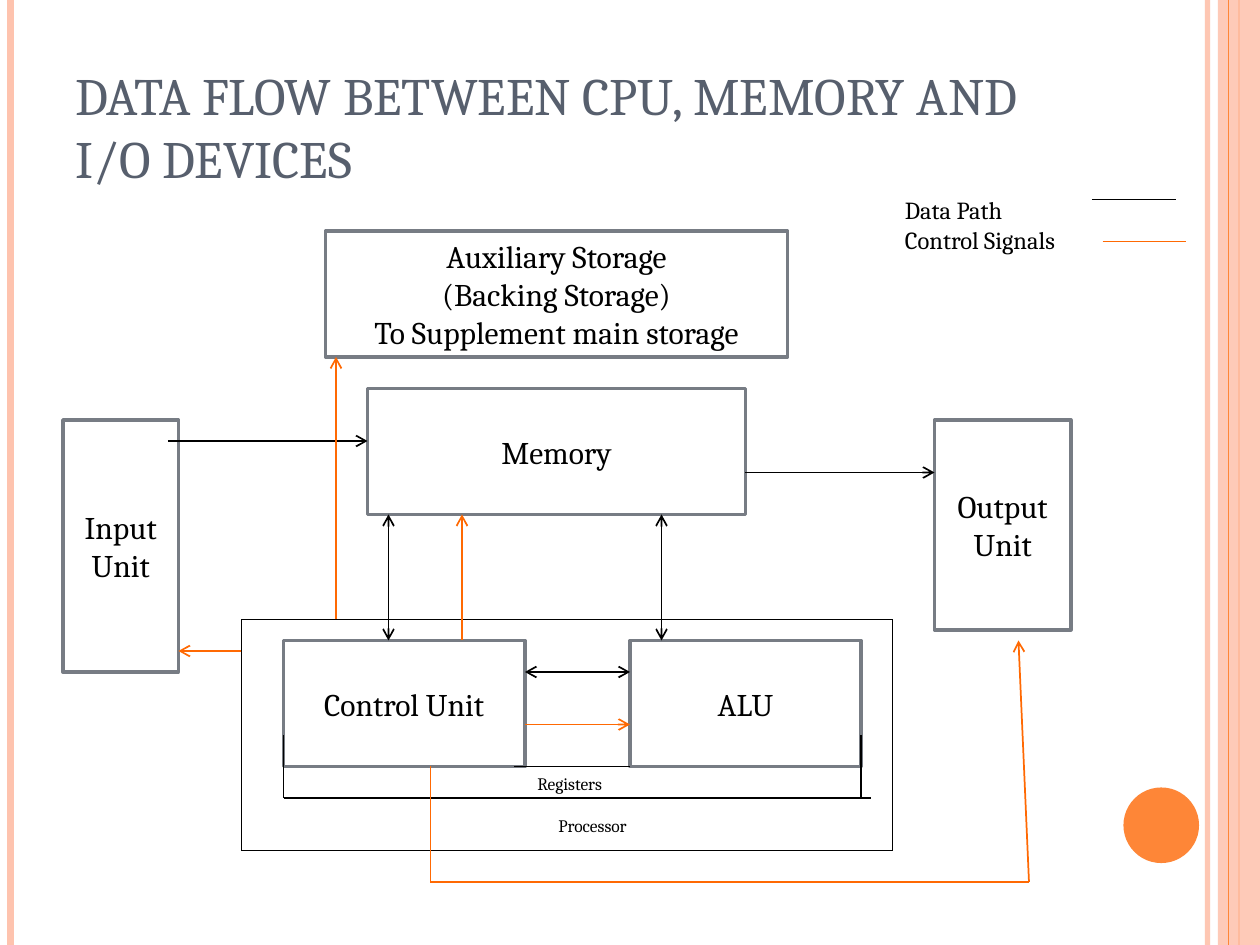
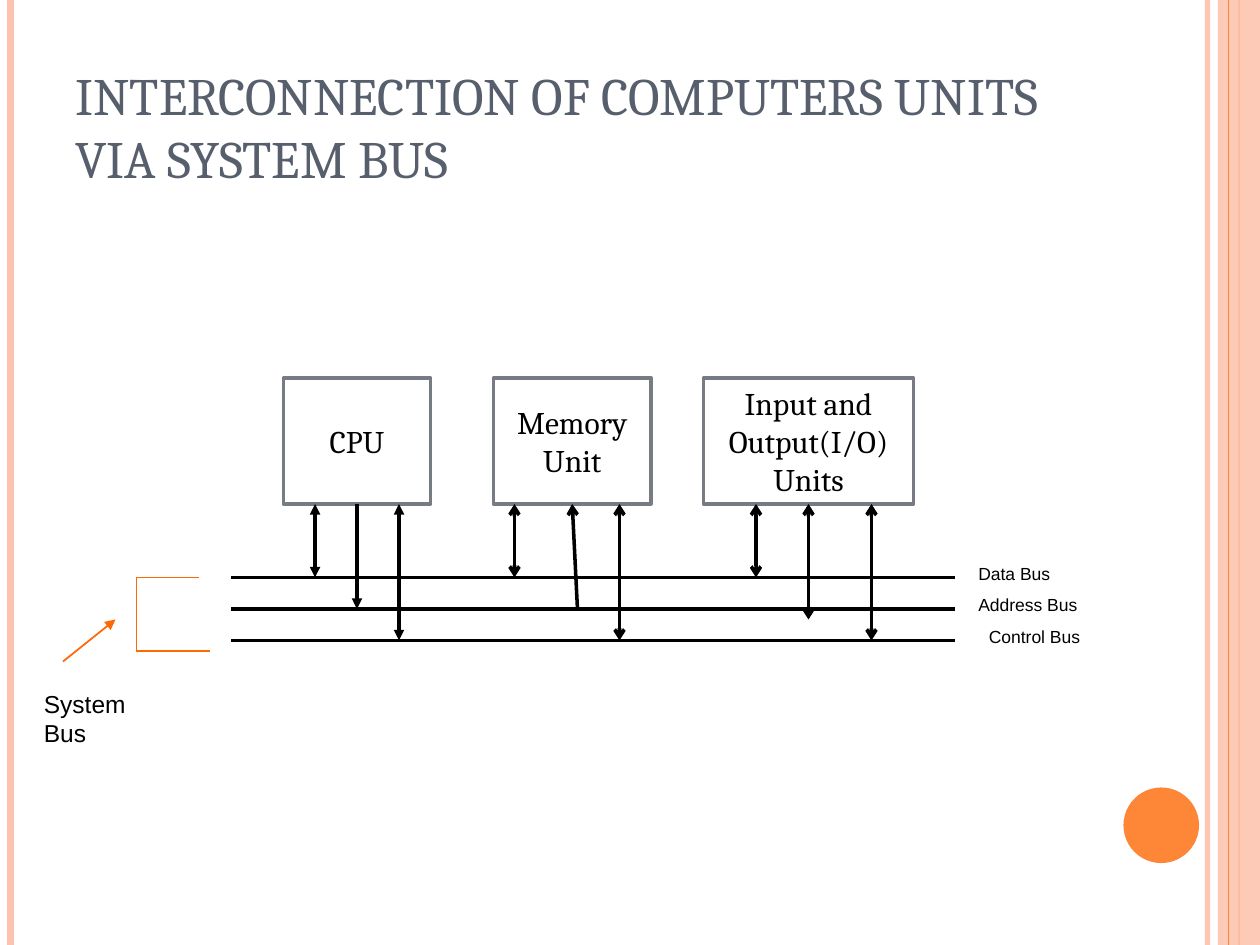
from dataclasses import dataclass
from typing import Any

from lxml import etree
from pptx import Presentation
from pptx import util as u
from pptx.dml.color import RGBColor
from pptx.enum import shapes, text
from pptx.oxml.ns import qn

# Every part sits on a grid of twelve steps to the inch
GRID_CM = 2.54 / 12
PAGE_W, PAGE_H = 120, 90

PEACH, ORANGE, SIGNAL = "FEC3AE", "FE8637", "FF6903"
TITLE, FRAME, BLACK, WHITE = "575F6D", "777C84", "000000", "FFFFFF"
SERIF, SANS = "Cambria", "Arial"

Point = tuple[float, float]


@dataclass(frozen=True)
class Unit:
    label: str
    left: float
    top: float
    width: float
    height: float

    def side_middles(self) -> list[Point]:
        """Middles of the top, left, bottom and right sides."""
        mid_x, mid_y = self.left + self.width / 2, self.top + self.height / 2
        return [(mid_x, self.top), (self.left, mid_y),
                (mid_x, self.top + self.height), (self.left + self.width, mid_y)]


@dataclass(frozen=True)
class Route:
    points: tuple[Point, ...]
    color: str = BLACK
    weight: float = 1
    head: str = ""
    tail: str = ""
    opacity: int = 100


@dataclass(frozen=True)
class Caption:
    words: str
    left: float
    top: float
    width: float
    height: float = 3.2
    size: float = 10
    font: str = SERIF


def grid(steps: float) -> u.Length:
    return u.Cm(steps * GRID_CM)


def rgb(color: str) -> RGBColor:
    return RGBColor.from_string(color)


def set_opacity(element: Any, percent: int) -> None:
    if percent < 100:
        for color in element.iter(qn("a:srgbClr")):
            etree.SubElement(color, qn("a:alpha"), val=str(percent * 1000))


def write(frame: Any, words: str, *, size: float = 18, font: str = SERIF,
          color: str = BLACK, align: Any = text.PP_ALIGN.LEFT,
          anchor: Any = text.MSO_ANCHOR.TOP) -> None:
    frame.word_wrap = True
    frame.vertical_anchor = anchor
    frame.text = words
    for paragraph in frame.paragraphs:
        paragraph.alignment = align
        paragraph.font.size = u.Pt(size)
        paragraph.font.name = font
        paragraph.font.color.rgb = rgb(color)


def draw_shape(slide: Any, kind: Any, left: float, top: float, width: float,
               height: float, fill: str, line: str = "", opacity: int = 100) -> Any:
    shape = slide.shapes.add_shape(kind, grid(left), grid(top), grid(width), grid(height))
    shape.shadow.inherit = False
    shape.fill.solid()
    shape.fill.fore_color.rgb = rgb(fill)
    set_opacity(shape.element.spPr, opacity)
    if line:
        shape.line.color.rgb = rgb(line)
        shape.line.width = u.Pt(2)
    else:
        shape.line.fill.background()
    return shape


def draw_unit(slide: Any, unit: Unit) -> Any:
    box = draw_shape(slide, shapes.MSO_SHAPE.RECTANGLE, unit.left, unit.top,
                     unit.width, unit.height, WHITE, FRAME)
    write(box.text_frame, unit.label, align=text.PP_ALIGN.CENTER,
          anchor=text.MSO_ANCHOR.MIDDLE)
    return box


def draw_caption(slide: Any, caption: Caption) -> None:
    box = slide.shapes.add_textbox(grid(caption.left), grid(caption.top),
                                   grid(caption.width), grid(caption.height))
    write(box.text_frame, caption.words, size=caption.size, font=caption.font)
    box.text_frame.auto_size = text.MSO_AUTO_SIZE.SHAPE_TO_FIT_TEXT


def draw_route(slide: Any, route: Route, sockets: dict[Point, tuple[Any, int]]) -> None:
    """Draw a chain of lines, joined to any box side whose middle it touches."""
    last = len(route.points) - 2
    for i, (start, end) in enumerate(zip(route.points, route.points[1:])):
        line = slide.shapes.add_connector(shapes.MSO_CONNECTOR.STRAIGHT,
                                          *map(grid, start + end))
        if start in sockets:
            line.begin_connect(*sockets[start])
        if end in sockets:
            line.end_connect(*sockets[end])
        line.line.color.rgb = rgb(route.color)
        line.line.width = u.Pt(route.weight)
        properties = line.element.spPr
        set_opacity(properties, route.opacity)
        outline = properties.find(qn("a:ln"))
        if route.head and i == 0:
            etree.SubElement(outline, qn("a:headEnd"), type=route.head)
        if route.tail and i == last:
            etree.SubElement(outline, qn("a:tailEnd"), type=route.tail)
        etree.SubElement(properties, qn("a:effectLst"))


def upright(x: float, color: str, weight: float, opacity: int = 100) -> Route:
    return Route(((x, 0), (x, PAGE_H)), color, weight, opacity=opacity)


def data(*points: Point, **ends: Any) -> Route:
    return Route(points, **ends)


def two_way(*points: Point, style: str = "arrow", weight: float = 1) -> Route:
    return Route(points, weight=weight, head=style, tail=style)


def signal(*points: Point, tail: str = "arrow") -> Route:
    return Route(points, SIGNAL, tail=tail)


def add_slide(deck: Any, title: str, units: list[Unit], routes: list[Route],
              captions: list[Caption]) -> None:
    slide = deck.slides.add_slide(deck.slide_layouts[6])

    # Side bands and disc
    for band in (upright(115, PEACH, 3, 93), upright(1, PEACH, 4.5), upright(118, ORANGE, 1.5)):
        draw_route(slide, band, {})
    draw_shape(slide, shapes.MSO_SHAPE.RECTANGLE, 116, 0, 4, PAGE_H, PEACH, opacity=87)
    draw_route(slide, upright(117, ORANGE, 0.75), {})
    draw_shape(slide, shapes.MSO_SHAPE.OVAL, 107, 75, 7.2, 7.2, ORANGE)

    # Title
    heading = slide.shapes.add_textbox(grid(6), grid(3.6), grid(98), grid(15))
    write(heading.text_frame, title, size=30, color=TITLE, anchor=text.MSO_ANCHOR.BOTTOM)

    # Diagram
    sockets: dict[Point, tuple[Any, int]] = {}
    for unit in units:
        box = draw_unit(slide, unit)
        sockets |= {middle: (box, side) for side, middle in enumerate(unit.side_middles())}
    for route in routes:
        draw_route(slide, route, sockets)
    for caption in captions:
        draw_caption(slide, caption)


def add_data_flow(deck: Any) -> None:
    units = [
        Unit("Auxiliary Storage\n(Backing Storage)\nTo Supplement main storage", 31, 22, 44, 12),
        Unit("Memory", 35, 37, 36, 12),
        Unit("Input Unit", 6, 40, 11, 24),
        Unit("Control Unit", 27, 61, 23, 12),
        Unit("ALU", 60, 61, 22, 12),
        Unit("Output Unit", 89, 40, 13, 20),
    ]
    routes = [
        # Data paths
        data((16, 42), (35, 42), tail="arrow"),
        two_way((37, 49), (37, 61)),
        two_way((63, 49), (63, 61)),
        two_way((50, 64), (60, 64)),
        data((71, 45), (89, 45), tail="arrow"),
        # Processor outline, then registers
        data((23, 59), (85, 59), (85, 81), (23, 81), (23, 59)),
        data((27, 70), (27, 76), (83, 76)),
        data((82, 70), (82, 76)),
        data((49, 73), (60, 73)),
        # Control signals
        signal((23, 62), (17, 62)),
        signal((32, 59), (32, 34)),
        signal((44, 61), (44, 49)),
        signal((50, 69), (60, 69)),
        signal((41, 73), (41, 84), (98, 84), (97, 61)),
        # Legend
        data((104, 19), (112, 19)),
        signal((105, 23), (113, 23), tail=""),
    ]
    captions = [
        Caption("Registers", 50, 73, 12),
        Caption("Processor", 52, 77, 12),
        Caption("Data Path\nControl Signals", 85, 18, 23, 6.8, size=14),
    ]
    add_slide(deck, "DATA FLOW BETWEEN CPU, MEMORY AND I/O DEVICES", units, routes, captions)


def add_system_bus(deck: Any) -> None:
    unit_bottom = 48
    data_bus, address_bus, control_bus = 55, 58, 61
    units = [
        Unit("CPU", 27, 36, 14, 12),
        Unit("Input and Output(I/O) Units", 67, 36, 20, 12),
        Unit("Memory Unit", 47, 36, 15, 12),
    ]
    # Buses
    routes = [data((22, bus), (91, bus), weight=2)
              for bus in (data_bus, address_bus, control_bus)]
    # Two-way links down to the data and control buses
    for data_x, control_x, style in ((30, 38, "triangle"), (49, 59, "arrow"), (72, 83, "arrow")):
        for x, bus in ((data_x, data_bus), (control_x, control_bus)):
            routes.append(two_way((x, unit_bottom), (x, bus), style=style, weight=2))
    routes += [
        # Address links
        data((34, unit_bottom), (34, address_bus), weight=2, tail="triangle"),
        data((55, address_bus), (54.5, unit_bottom), weight=2, tail="arrow"),
        two_way((77, unit_bottom), (77, 59), weight=2),
        # System bus bracket and pointer
        signal((19, 55), (13, 55), (13, 62), (20, 62), tail=""),
        signal((6, 63), (11, 59), tail="triangle"),
    ]
    captions = [
        Caption("Data Bus", 92, data_bus - 2, 20, font=SANS),
        Caption("Address Bus", 92, address_bus - 2, 20, font=SANS),
        Caption("Control Bus", 93, control_bus - 2, 20, font=SANS),
        Caption("System Bus", 3, 65, 13, 6.8, size=14, font=SANS),
    ]
    add_slide(deck, "INTERCONNECTION OF COMPUTERS UNITS VIA SYSTEM BUS", units, routes, captions)


def main() -> None:
    deck = Presentation()
    deck.slide_width, deck.slide_height = grid(PAGE_W), grid(PAGE_H)
    add_data_flow(deck)
    add_system_bus(deck)
    deck.save("out.pptx")


if __name__ == "__main__":
    main()
